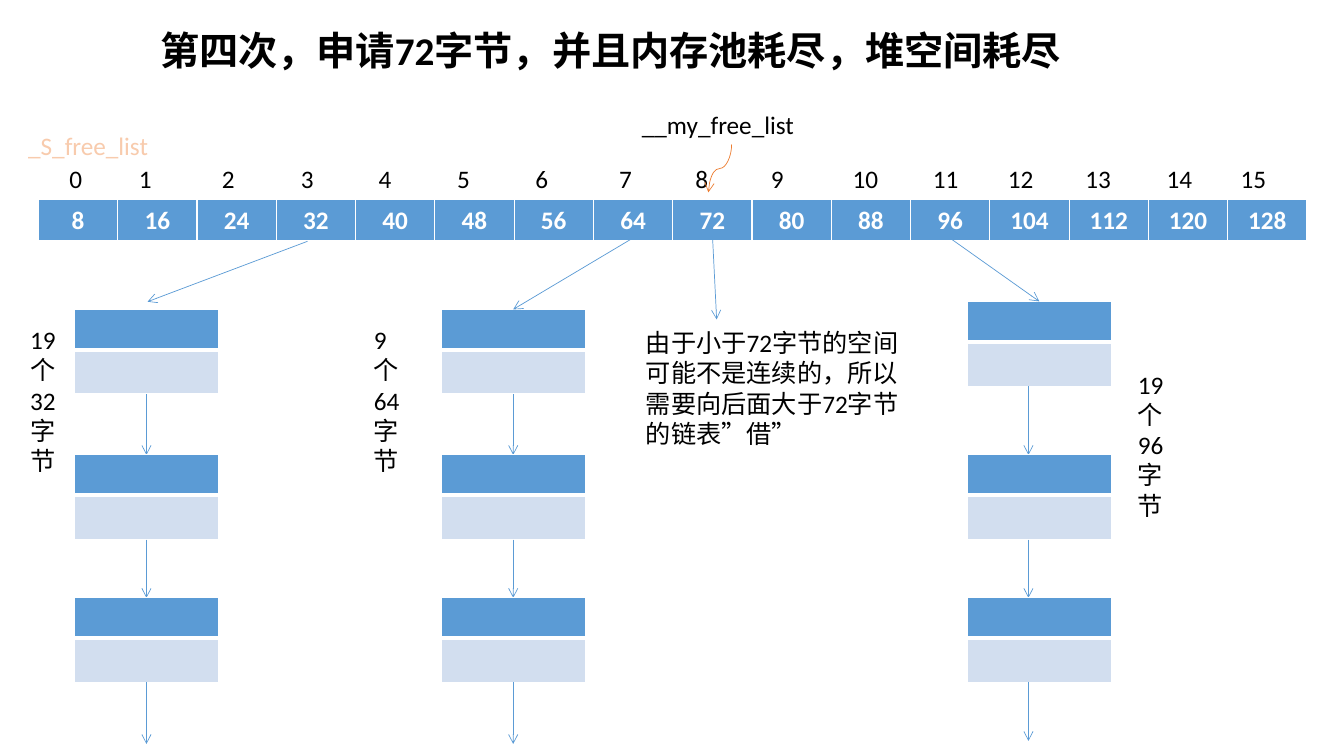
from dataclasses import dataclass

from lxml import etree
from pptx import Presentation
from pptx.dml.color import RGBColor
from pptx.enum.shapes import MSO_CONNECTOR
from pptx.enum.text import MSO_ANCHOR, MSO_AUTO_SIZE, PP_ALIGN
from pptx.oxml.ns import qn
from pptx.util import Pt


@dataclass(frozen=True)
class Theme:
    font: str = "Calibri"
    title: float = 28
    body: float = 18
    black: str = "000000"
    white: str = "FFFFFF"
    blue: str = "5B9BD5"
    pale_blue: str = "D2DEEF"
    orange: str = "ED7D31"
    peach: str = "F8CBAD"
    hairline: float = 0.5


@dataclass(frozen=True)
class Label:
    text: str
    left: float
    top: float
    width: float
    height: float
    size: float
    color: str
    bold: bool = False
    indent: float = 0


@dataclass(frozen=True)
class Chain:
    left: float
    top: float
    stem_x: float
    stem_end: float
    entry: tuple[float, float, float, float]


THEME = Theme()
SLOTS = 16
SLOT_WIDTH, SLOT_HEIGHT = 56.66, 30
BLOCK_WIDTH, BLOCK_ROWS = 103, (28.8, 31.7)
LATER_TOPS = (324.9, 427)

prs = Presentation()
prs.slide_width, prs.slide_height = Pt(960), Pt(540)
slide = prs.slides.add_slide(prs.slide_layouts[6])


def add_fill(parent, color: str) -> None:
    fill = etree.SubElement(parent, qn("a:solidFill"))
    etree.SubElement(fill, qn("a:srgbClr"), val=color)


def style_run(run, size: float, color: str, bold: bool) -> None:
    run.font.name = THEME.font
    run.font.size = Pt(size)
    run.font.bold = bold
    run.font.color.rgb = RGBColor.from_string(color)


def add_label(label: Label):
    box = slide.shapes.add_textbox(Pt(label.left), Pt(label.top),
                                   Pt(label.width), Pt(label.height))
    frame = box.text_frame
    frame.word_wrap = True
    frame.auto_size = MSO_AUTO_SIZE.SHAPE_TO_FIT_TEXT
    frame.margin_left = Pt(7.2 + label.indent)
    frame.text = label.text
    for paragraph in frame.paragraphs:
        style_run(paragraph.runs[0], label.size, label.color, label.bold)
    return box


def style_cell(cell, color: str, bottom: float) -> None:
    cell.fill.solid()
    cell.fill.fore_color.rgb = RGBColor.from_string(color)
    cell.vertical_anchor = MSO_ANCHOR.MIDDLE
    cell.margin_top = cell.margin_bottom = 0
    properties = cell.fill._xPr
    for i, (side, width) in enumerate((("L", 1), ("R", 1), ("T", 1), ("B", bottom))):
        border = etree.Element(qn(f"a:ln{side}"), w=str(Pt(width)))
        add_fill(border, THEME.white)
        properties.insert(i, border)


def add_grid(left: float, top: float, widths: list[float], heights: tuple[float, ...]):
    frame = slide.shapes.add_table(len(heights), len(widths), Pt(left), Pt(top),
                                   Pt(sum(widths)), Pt(sum(heights)))
    table = frame.table
    table.first_row = table.horz_banding = False
    for column, width in zip(table.columns, widths):
        column.width = Pt(width)
    for row, height in zip(table.rows, heights):
        row.height = Pt(height)
    return table


def add_arrow(x1: float, y1: float, x2: float, y2: float, color: str = THEME.blue,
              kind: MSO_CONNECTOR = MSO_CONNECTOR.STRAIGHT):
    arrow = slide.shapes.add_connector(kind, Pt(x1), Pt(y1), Pt(x2), Pt(y2))
    arrow.line.color.rgb = RGBColor.from_string(color)
    arrow.line.width = Pt(THEME.hairline)
    etree.SubElement(arrow.line._get_or_add_ln(), qn("a:tailEnd"), type="arrow")
    etree.SubElement(arrow._element.spPr, qn("a:effectLst"))
    return arrow


def add_block(left: float, top: float) -> None:
    table = add_grid(left, top, [BLOCK_WIDTH], BLOCK_ROWS)
    style_cell(table.cell(0, 0), THEME.blue, 3)
    style_cell(table.cell(1, 0), THEME.pale_blue, 1)


def add_chain(chain: Chain) -> None:
    tops = (chain.top, *LATER_TOPS)
    for top, stem_end in zip(tops, (*LATER_TOPS, chain.stem_end)):
        add_block(chain.left, top)
        add_arrow(chain.stem_x, top + sum(BLOCK_ROWS), chain.stem_x, stem_end)
    add_arrow(*chain.entry)


# Free list slots: each holds blocks of a multiple of 8 bytes
slots = add_grid(27.4, 142.6, [SLOT_WIDTH] * SLOTS, (SLOT_HEIGHT,))
for index in range(SLOTS):
    slot = slots.cell(0, index)
    style_cell(slot, THEME.blue, 3)
    slot.text = str(8 * (index + 1))
    number = slot.text_frame.paragraphs[0]
    number.alignment = PP_ALIGN.CENTER
    style_run(number.runs[0], THEME.body, THEME.white, True)

# Slot indexes, placed by hand above the slots
INDEX_LEFTS = (42.5, 92.2, 143.3, 203.8, 259.2, 315.4, 367.2, 427,
               489.6, 543.6, 601.9, 655.2, 712.8, 768.2, 822.2, 879.1)
INDEX_INDENTS = {2: 8, 3: 4, 4: 4, 5: 4, 6: 8, 7: 8, 11: 4, 14: 4}
for index, left in enumerate(INDEX_LEFTS):
    add_label(Label(str(index), left, 113, 44, 29, THEME.body, THEME.black,
                    indent=INDEX_INDENTS.get(index, 0)))

# Chains of free blocks
for chain in (
    Chain(53.3, 221, 104.6, 531.4, (219.6, 172.4, 105.4, 215.5)),
    Chain(315.4, 221, 366.6, 531.4, (450.7, 170.9, 366.6, 221)),
    Chain(691.2, 215.3, 734.6, 529.2, (679.7, 170.9, 742.4, 215.3)),
):
    add_chain(chain)

# Title, notes and list names
for label in (
    Label("第四次，申请72字节，并且内存池耗尽，堆空间耗尽",
          107.3, 15.1, 698.4, 41, THEME.title, THEME.black, bold=True),
    Label("__my_free_list", 451.4, 74.2, 143.3, 29, THEME.body, THEME.black),
    Label("19个32字节", 14.4, 228.2, 38.2, 116, THEME.body, THEME.black),
    Label("9\n个64字节", 260, 228.2, 43.2, 116, THEME.body, THEME.black),
    Label("19个96字节", 805.7, 260, 41.8, 116, THEME.body, THEME.black),
    Label("由于小于72字节的空间可能不是连续的，所以需要向后面大于72字节的链表”借”",
          454.3, 230.4, 206.6, 94.3, THEME.body, THEME.black),
):
    add_label(label)

list_name = add_label(Label("_S_free_list", 13, 89.3, 129.6, 29, THEME.body, THEME.peach))
outline = etree.Element(qn("a:ln"), w=str(Pt(1.75)))
add_fill(outline, THEME.orange)
list_name.text_frame.paragraphs[0].runs[0].font._element.insert(0, outline)

# Pointers to and from the 72-byte slot
add_arrow(509, 169.9, 511.9, 228.2)
pointer = add_arrow(497.2, 112, 531.4, 128.6, THEME.orange, MSO_CONNECTOR.CURVE)
pointer.rotation = 90

prs.save("out.pptx")
